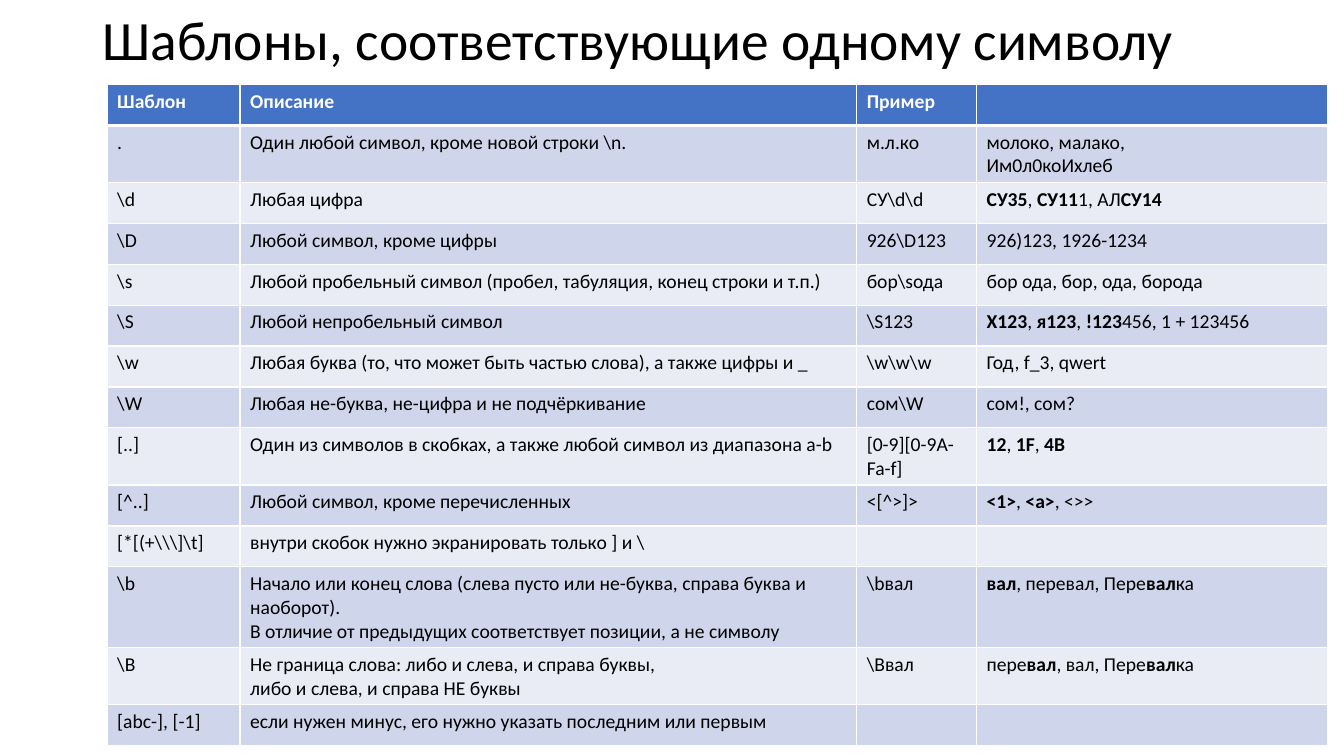
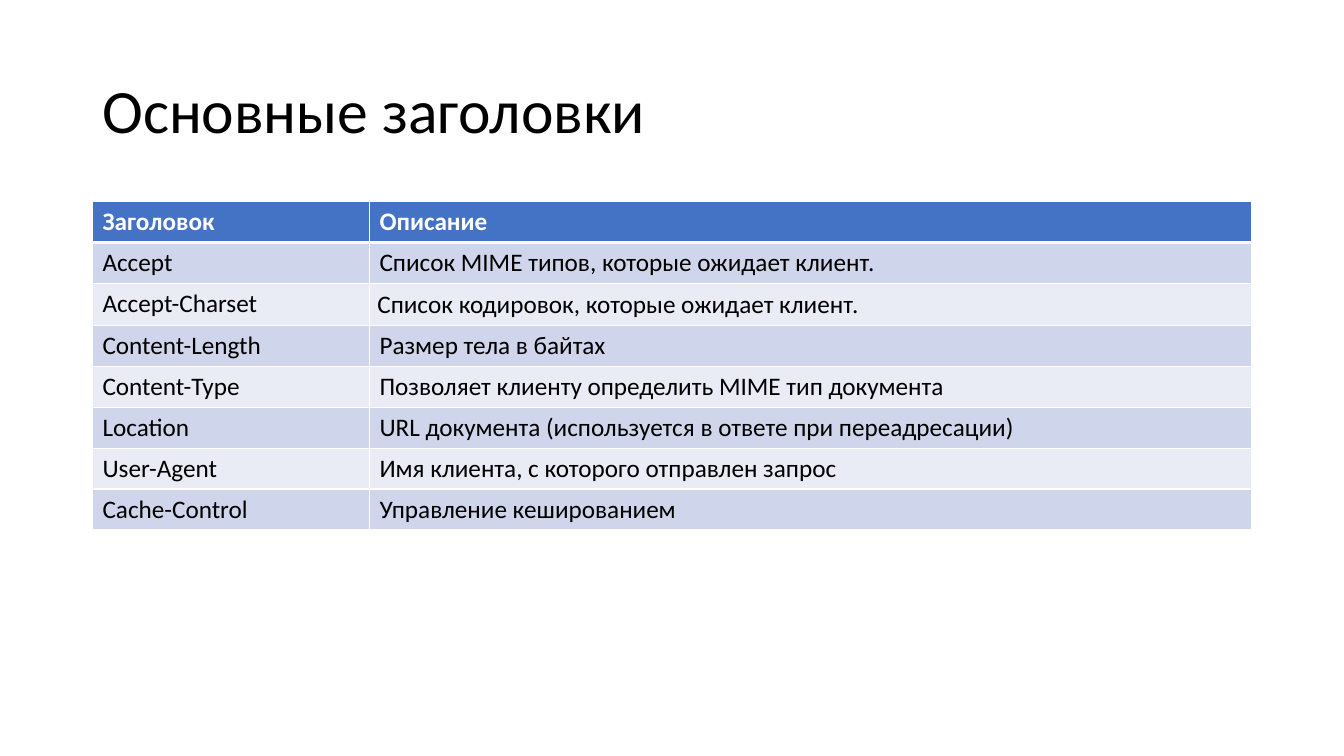
import pptx
import pptx.dml.color
import pptx.enum.text
import pptx.oxml
import pptx.oxml.ns
import pptx.util
from pptx.util import Cm, Pt

# Content: **bold** marks bold text, "\n" breaks a line, a list holds paragraphs
SLIDES = [
    {
        "title": "Шаблоны, соответствующие одному символу",
        "title_top": 0, "title_height": 2.13, "title_size": 39.6,
        "left": 2.7, "top": 2.13, "columns": (3.35, 15.54, 3.02, 8.84), "size": 14,
        "rows": [
            ("Шаблон", "Описание", "Пример", ""),
            (".", r"Один любой символ, кроме новой строки \n.", "м.л.ко",
             ["молоко, малако,", "Им0л0коИхлеб"]),
            (r"\d", "Любая цифра", r"СУ\d\d", "**СУ35**, **СУ11**1, АЛ**СУ14**"),
            (r"\D", "Любой символ, кроме цифры", r"926\D123", "926)123, 1926-1234"),
            (r"\s", "Любой пробельный символ (пробел, табуляция, конец строки и т.п.)",
             r"бор\sода", "бор ода, бор, ода, борода"),
            (r"\S", "Любой непробельный символ", r"\S123",
             "**X123**, **я123**, **!123**456, 1 + 123456"),
            (r"\w", "Любая буква (то, что может быть частью слова), а также цифры и _",
             r"\w\w\w", "Год, f_3, qwert"),
            (r"\W", "Любая не-буква, не-цифра и не подчёркивание", r"сом\W", "сом!, сом?"),
            ("[..]", "Один из символов в скобках, а также любой символ из диапазона a-b",
             "[0-9][0-9A-Fa-f]", "**12**, **1F**, **4B**"),
            ("[^..]", "Любой символ, кроме перечисленных", "<[^>]>",
             "**<1>**,** <a>**, <>>"),
            (r"[*[(+\\\]\t]", "внутри скобок нужно экранировать только ] и \\", "", ""),
            (r"\b", "Начало или конец слова (слева пусто или не-буква, справа буква и "
             "наоборот).\nВ отличие от предыдущих соответствует позиции, а не символу",
             r"\bвал", "**вал**, перевал, Пере**вал**ка"),
            (r"\B", "Не граница слова: либо и слева, и справа буквы,\n"
             "либо и слева, и справа НЕ буквы",
             r"\Bвал", "пере**вал**, вал, Пере**вал**ка"),
            ("[abc-], [-1]", "если нужен минус, его нужно указать последним или первым",
             "", ""),
        ],
    },
    {
        "title": "Основные заголовки",
        "title_top": 1.02, "title_height": 3.68, "title_size": 44,
        "left": 2.33, "top": 5.08, "columns": (6.98, 22.23), "size": 18,
        "padded_cell": (2, 1),
        "rows": [
            ("Заголовок", "Описание"),
            ("Accept", "Список MIME типов, которые ожидает клиент."),
            ("Accept-Charset", "Список кодировок, которые ожидает клиент."),
            ("Content-Length", "Размер тела в байтах"),
            ("Content-Type", "Позволяет клиенту определить MIME тип документа"),
            ("Location", "URL документа (используется в ответе при переадресации)"),
            ("User-Agent", "Имя клиента, с которого отправлен запрос"),
            ("Cache-Control", "Управление кешированием"),
        ],
    },
]


class Theme:
    font = "Calibri"
    text, header_text, border = "000000", "FFFFFF", "FFFFFF"
    header, bands = "4472C4", ("E9EBF5", "CFD5EA")
    thin, thick = 1, 3
    slide = (33.87, 19.05)
    title_left, title_width = 2.33, 29.21
    row_height = 1.03


def rgb(value):
    return pptx.dml.color.RGBColor.from_string(value)


def add_run(p, text, size, color, bold=False):
    r = p.add_run()
    r.text = text
    r.font.name, r.font.size, r.font.bold = Theme.font, Pt(size), bold
    r.font.color.rgb = rgb(color)


def add_marked_text(p, text, size, color, header):
    for i, line in enumerate(text.split("\n")):
        if i:
            p.add_line_break()
        for j, part in enumerate(line.split("**")):
            if part:
                add_run(p, part, size, color, header or j % 2 == 1)


def set_borders(cell, row):
    widths = {
        "lnL": Theme.thin, "lnR": Theme.thin,
        "lnT": Theme.thick if row == 1 else Theme.thin,
        "lnB": Theme.thick if row == 0 else Theme.thin,
    }
    tcPr = cell._tc.get_or_add_tcPr()
    for i, (side, width) in enumerate(widths.items()):
        tcPr.insert(i, pptx.oxml.parse_xml(
            f'<a:{side} {pptx.oxml.ns.nsdecls("a")} w="{Pt(width)}"><a:solidFill>'
            f'<a:srgbClr val="{Theme.border}"/></a:solidFill></a:{side}>'))


def add_title(s, spec):
    sp = s.shapes.add_textbox(Cm(Theme.title_left), Cm(spec["title_top"]),
                              Cm(Theme.title_width), Cm(spec["title_height"]))
    tf = sp.text_frame
    tf.word_wrap = True
    tf.vertical_anchor = pptx.enum.text.MSO_ANCHOR.MIDDLE
    p = tf.paragraphs[0]
    p.line_spacing = 0.9
    add_run(p, spec["title"], spec["title_size"], Theme.text)


def fill_cell(cell, content, row, size):
    header = row == 0
    cell.fill.solid()
    cell.fill.fore_color.rgb = rgb(Theme.header if header else Theme.bands[row % 2])
    set_borders(cell, row)
    tf = cell.text_frame
    for i, text in enumerate(content if isinstance(content, list) else [content]):
        p = tf.add_paragraph() if i else tf.paragraphs[0]
        p.font.size = Pt(size)
        add_marked_text(p, text, size, Theme.header_text if header else Theme.text, header)


def add_grid(s, spec):
    rows, columns = spec["rows"], spec["columns"]
    table = s.shapes.add_table(
        len(rows), len(columns), Cm(spec["left"]), Cm(spec["top"]),
        Cm(sum(columns)), Cm(Theme.row_height * len(rows))).table
    for column, width in zip(table.columns, columns):
        column.width = Cm(width)
    for i, values in enumerate(rows):
        table.rows[i].height = Cm(Theme.row_height)
        for j, content in enumerate(values):
            fill_cell(table.cell(i, j), content, i, spec["size"])
    if "padded_cell" in spec:
        cell = table.cell(*spec["padded_cell"])
        cell.vertical_anchor = pptx.enum.text.MSO_ANCHOR.MIDDLE
        cell.margin_left = cell.margin_right = Cm(0.2)
        cell.margin_top = cell.margin_bottom = Cm(0.15)


def main():
    prs = pptx.Presentation()
    prs.slide_width, prs.slide_height = map(Cm, Theme.slide)
    for spec in SLIDES:
        s = prs.slides.add_slide(prs.slide_layouts[6])
        add_title(s, spec)
        add_grid(s, spec)
    prs.save("out.pptx")


if __name__ == "__main__":
    main()
